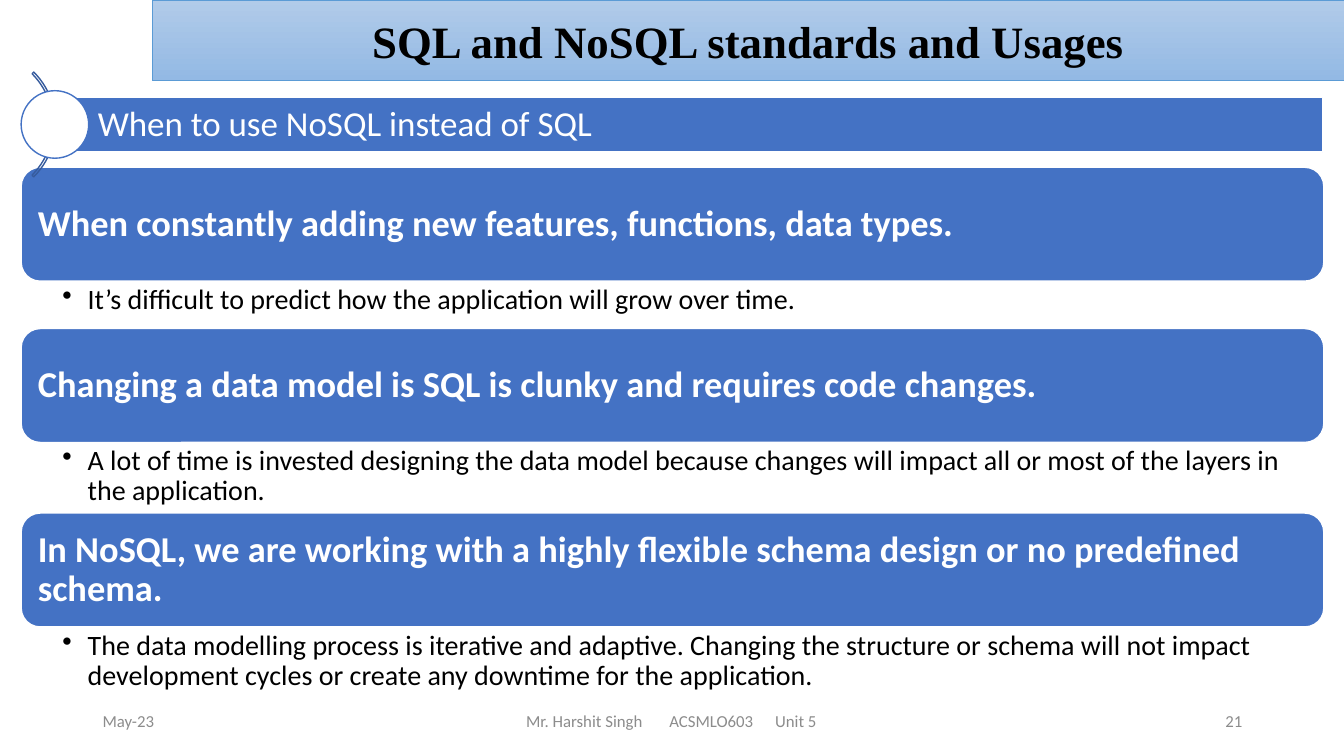
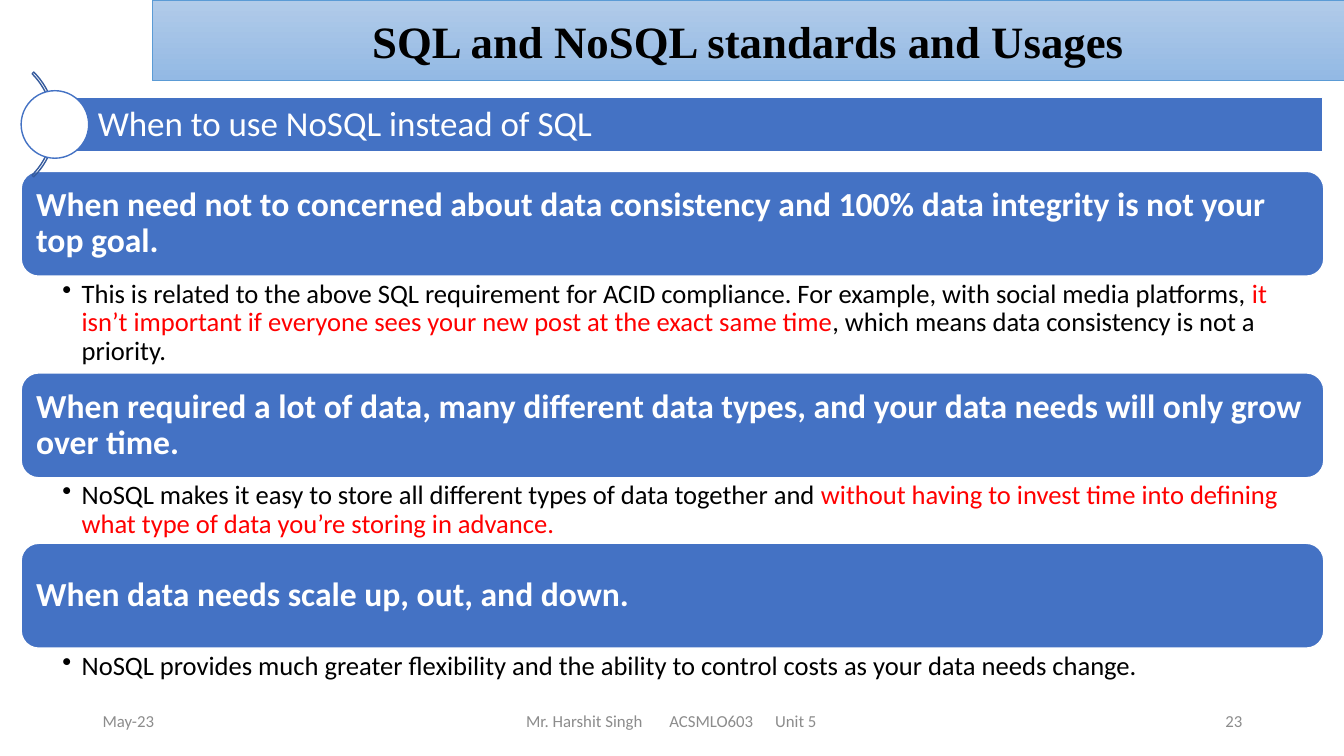
from lxml import etree
from pptx import Presentation
from pptx import util as u
from pptx.dml import color
from pptx.enum import shapes, text
from pptx.oxml import ns

COLORS = {
    "blue": "4472C4",
    "arc": "365B9D",
    "title_top": "B1CBE9",
    "title_bottom": "93B9E4",
    "title_line": "5B9BD5",
    "white": "FFFFFF",
    "black": "000000",
    "red": "FF0000",
    "gray": "8C8C8C",
}
LEFT, WIDTH = 0.21, 12.92
FOOTER_TOP, FOOTER_HEIGHT = 6.95, 0.4


def rgb(name):
    return color.RGBColor.from_string(COLORS[name])


class Deck:
    def __init__(self):
        self.presentation = Presentation()
        self.presentation.slide_width = u.Inches(13.33)
        self.presentation.slide_height = u.Inches(7.5)
        self.slide = None

    def new_slide(self):
        layout = self.presentation.slide_layouts[5]
        self.slide = self.presentation.slides.add_slide(layout)

    def add_text(self, shape, runs, size, align="LEFT", anchor="MIDDLE", bold=False,
                 font="Calibri", insets=(0.1, 0.05, 0.1, 0.05), spacing=None):
        frame = shape.text_frame
        frame.word_wrap = True
        frame.auto_size = text.MSO_AUTO_SIZE.NONE
        frame.vertical_anchor = text.MSO_ANCHOR[anchor]
        frame.margin_left, frame.margin_top, frame.margin_right, frame.margin_bottom = map(
            u.Inches, insets)
        paragraph = frame.paragraphs[0]
        paragraph.alignment = text.PP_ALIGN[align]
        if spacing:
            paragraph.line_spacing = spacing
        for words, color_name in runs:
            run = paragraph.add_run()
            run.text = words
            run.font.name = font
            run.font.size = u.Pt(size)
            run.font.bold = bold
            run.font.color.rgb = rgb(color_name)
        return paragraph

    def shape(self, kind, left, top, width, height, fill, line):
        shape = self.slide.shapes.add_shape(
            shapes.MSO_SHAPE[kind], *map(u.Inches, (left, top, width, height)))
        shape.shadow.inherit = False
        if fill:
            shape.fill.solid()
            shape.fill.fore_color.rgb = rgb(fill)
        else:
            shape.fill.background()
        shape.line.color.rgb = rgb(line)
        shape.line.width = u.Pt(1)
        return shape

    def textbox(self, left, top, width, height, runs, size, **style):
        box = self.slide.shapes.add_textbox(*map(u.Inches, (left, top, width, height)))
        return self.add_text(box, runs, size, **style)

    def title(self, words):
        title = self.slide.shapes.title
        title.left, title.top, title.width, title.height = map(u.Inches, (1.51, 0, 11.82, 0.8))
        title.fill.gradient()
        title.fill.gradient_angle = 270
        for stop, name in zip(title.fill.gradient_stops, ("title_top", "title_bottom")):
            stop.color.rgb = rgb(name)
        title.line.color.rgb = rgb("title_line")
        title.line.width = u.Pt(0.5)
        self.add_text(title, [(words, "black")], 32, align="CENTER", bold=True,
                      font="Times New Roman")

    def topic(self, words):
        arc = self.shape("BLOCK_ARC", -0.92, 0.5, 1.47, 1.47, None, "arc")
        for index, value in enumerate((189, 27, 0.016)):
            arc.adjustments[index] = value
        band = self.shape("RECTANGLE", 0.54, 0.97, 12.58, 0.54, "blue", "white")
        self.add_text(band, [(words, "white")], 25, insets=(0.43, 0.07, 0.07, 0.07),
                      spacing=0.9)
        self.shape("OVAL", LEFT, 0.9, 0.67, 0.67, "white", "blue")

    def heading(self, top, height, words, size, inset):
        box = self.shape("ROUNDED_RECTANGLE", LEFT, top, WIDTH, height, "blue", "white")
        self.add_text(box, [(words, "white")], size, bold=True, insets=(inset,) * 4,
                      spacing=0.9)

    def detail(self, top, height, runs, size, indent):
        paragraph = self.textbox(LEFT, top, WIDTH, height, runs, size, anchor="TOP",
                                 insets=(0.41, 0.04, 0.2, 0.04), spacing=0.9)
        properties = paragraph._p.get_or_add_pPr()
        properties.set("marL", str(u.Inches(indent)))
        properties.set("indent", str(-u.Inches(indent)))
        etree.SubElement(properties, ns.qn("a:buChar")).set("char", "•")

    def stack(self, top, heading_height, heading_size, inset, detail_size, indent, items):
        for heading, detail_height, runs in items:
            self.heading(top, heading_height, heading, heading_size, inset)
            top += heading_height
            self.detail(top, detail_height, runs, detail_size, indent)
            top += detail_height

    def footer(self, number):
        for left, words, align in ((0.92, "May-23", "LEFT"), (9.42, number, "RIGHT")):
            self.textbox(left, FOOTER_TOP, 3, FOOTER_HEIGHT, [(words, "gray")], 12, align=align)
        paragraph = self.textbox(5.12, FOOTER_TOP, 3.3, FOOTER_HEIGHT,
                                 [("Mr. Harshit Singh\tACSMLO603\tUnit 5", "gray")], 12)
        tabs = etree.SubElement(paragraph._p.get_or_add_pPr(), ns.qn("a:tabLst"))
        for position in (1.42, 2.47):
            tab = etree.SubElement(tabs, ns.qn("a:tab"))
            tab.set("pos", str(u.Inches(position)))
            tab.set("algn", "l")


SLIDES = [
    {
        "number": "21",
        "stack": dict(
            top=1.66, heading_height=1.13, heading_size=26, inset=0.11,
            detail_size=20, indent=0.25, items=[
                ("When constantly adding new features, functions, data types.", 0.47,
                 [("It’s difficult to predict how the application will grow over time.",
                   "black")]),
                ("Changing a data model is SQL is clunky and requires code changes.", 0.7,
                 [("A lot of time is invested designing the data model because changes will "
                   "impact all or most of the layers in the application.", "black")]),
                ("In NoSQL, we are working with a highly flexible schema design or no "
                 "predefined schema.", 0.7,
                 [("The data modelling process is iterative and adaptive. Changing the "
                   "structure or schema will not impact development cycles or create any "
                   "downtime for the application.", "black")]),
            ]),
    },
    {
        "number": "23",
        "stack": dict(
            top=1.7, heading_height=1.04, heading_size=24, inset=0.1,
            detail_size=19, indent=0.19, items=[
                ("When need not to concerned about data consistency and 100% data integrity "
                 "is not your top goal.", 0.96,
                 [("This is related to the above SQL requirement for ACID compliance. For "
                   "example, with social media platforms, ", "black"),
                  ("it isn’t important if everyone sees your new post at the exact same time",
                   "red"),
                  (", which means data consistency is not a priority.", "black")]),
                ("When required a lot of data, many different data types, and your data needs "
                 "will only grow over time.", 0.65,
                 [("NoSQL makes it easy to store all different types of data together and ",
                   "black"),
                  ("without having to invest time into defining what type of data you’re "
                   "storing in advance.", "red")]),
                ("When data needs scale up, out, and down.", 0.43,
                 [("NoSQL provides much greater flexibility and the ability to control costs "
                   "as your data needs change.", "black")]),
            ]),
    },
]


def main():
    deck = Deck()
    for content in SLIDES:
        deck.new_slide()
        deck.title("SQL and NoSQL standards and Usages")
        deck.stack(**content["stack"])
        deck.topic("When to use NoSQL instead of SQL")
        deck.footer(content["number"])
    deck.presentation.save("out.pptx")


if __name__ == "__main__":
    main()
